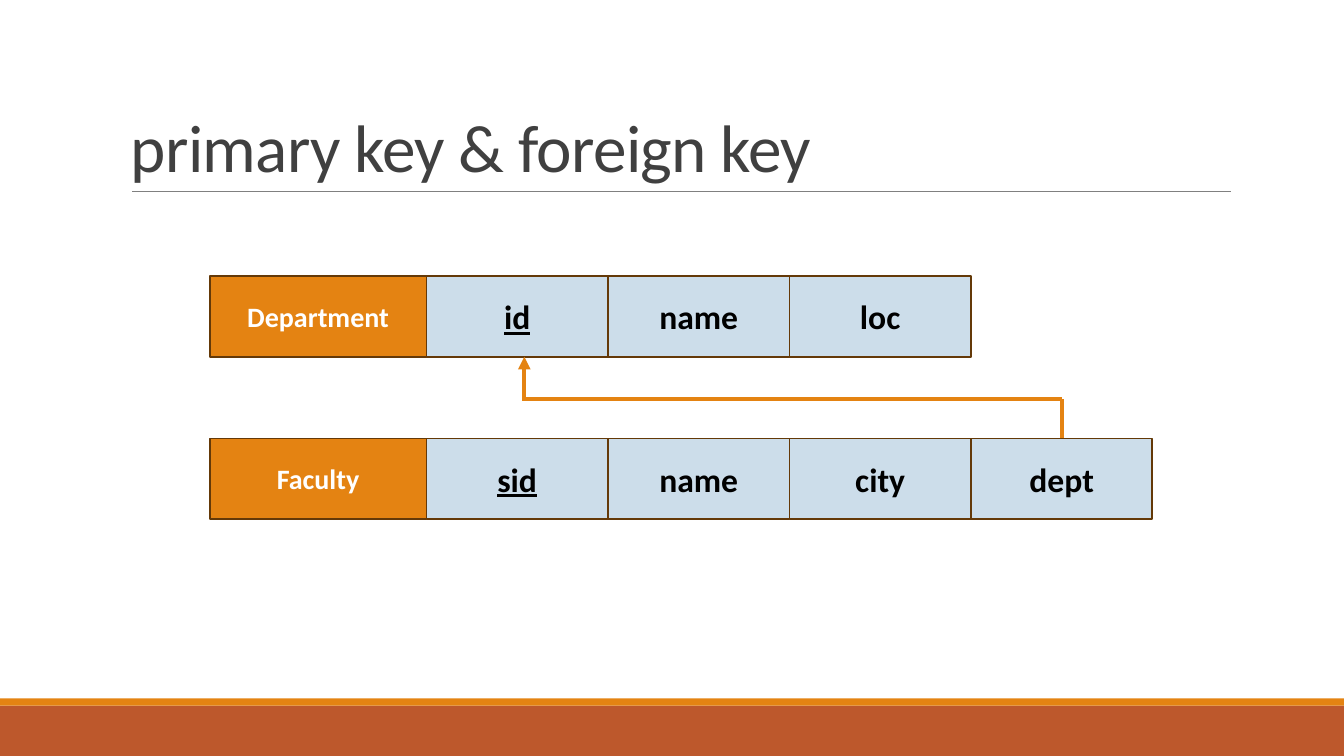
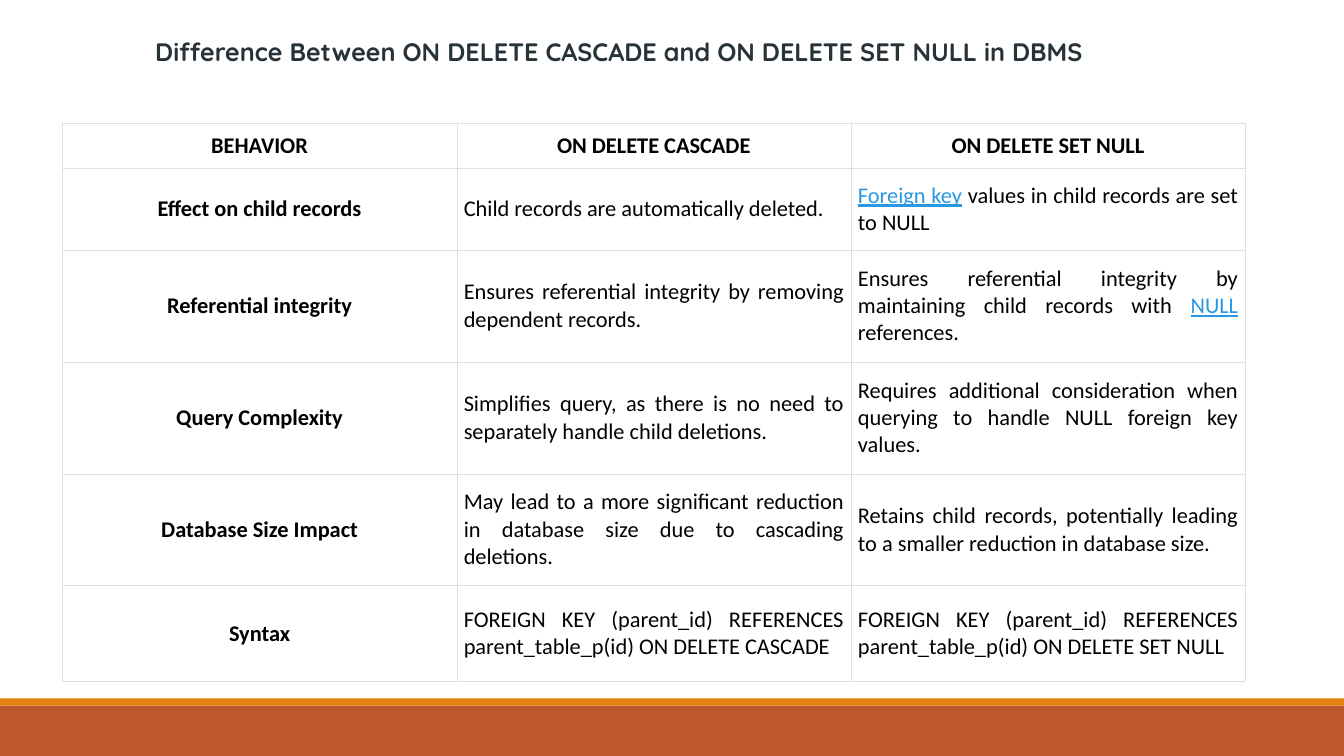
import dataclasses

import lxml.etree
import pptx
import pptx.dml.color
import pptx.enum.shapes
import pptx.enum.text
import pptx.oxml
import pptx.oxml.ns
import pptx.shapes.autoshape
import pptx.shapes.connector
import pptx.slide
import pptx.table
import pptx.text.text
import pptx.util

Inches = pptx.util.Inches
Pt = pptx.util.Pt
ALIGN = pptx.enum.text.PP_ALIGN
MIDDLE = pptx.enum.text.MSO_ANCHOR.MIDDLE
BOTTOM = pptx.enum.text.MSO_ANCHOR.BOTTOM
RECTANGLE = pptx.enum.shapes.MSO_SHAPE.RECTANGLE
STRAIGHT = pptx.enum.shapes.MSO_CONNECTOR.STRAIGHT

COLORS = {
    "band": "BD582C",
    "accent": "E48312",
    "rule": "808080",
    "title": "404040",
    "heading": "273239",
    "outline": "643908",
    "field": "CCDDEA",
    "link": "2998E3",
    "grid": "DFDFDF",
    "black": "000000",
    "white": "FFFFFF",
}
FONT = "Calibri"
SLIDE_W, SLIDE_H = 13.33, 7.5
BAND_H, STRIP_H = 0.5, 0.07

# Schema grid: one name column, then equal field columns
SCHEMA_LEFT, SCHEMA_TOP = 2.08, 2.74
NAME_W, FIELD_W, BOX_H, ROW_PITCH = 2.15, 1.8, 0.8, 1.61

# Comparison table
TABLE_LEFT, TABLE_TOP, COLUMN_W = 0.62, 1.22, 3.91
ROW_HEIGHTS = (0.45, 0.81, 1.11, 1.11, 1.11, 0.95)


@dataclasses.dataclass(frozen=True)
class Style:
    size: float
    color: str = "black"
    bold: bool = False
    underline: bool = False
    font: str = FONT
    spacing: float = 0


@dataclasses.dataclass(frozen=True)
class Relation:
    name: str
    key: str
    fields: tuple[str, ...]


@dataclasses.dataclass(frozen=True)
class Link:
    text: str


@dataclasses.dataclass(frozen=True)
class Behavior:
    name: str
    cascade: tuple[str | Link, ...]
    set_null: tuple[str | Link, ...]


TITLE = Style(48, "title", spacing=-0.5)
HEADING = Style(18, "heading", bold=True, font="Quicksand")
RELATION_NAME = Style(20, "white", bold=True)
FIELD = Style(24, bold=True)
KEY = dataclasses.replace(FIELD, underline=True)
CELL = Style(16)
CELL_BOLD = dataclasses.replace(CELL, bold=True)
CELL_LINK = dataclasses.replace(CELL, color="link", underline=True)

RELATIONS = (
    Relation("Department", "id", ("name", "loc")),
    Relation("Faculty", "sid", ("name", "city", "dept")),
)
HEADERS = ("BEHAVIOR", "ON DELETE CASCADE", "ON DELETE SET NULL")
BEHAVIORS = (
    Behavior(
        "Effect on child records",
        ("Child records are automatically deleted.",),
        (Link("Foreign key"), " values in child records are set to NULL"),
    ),
    Behavior(
        "Referential integrity",
        ("Ensures referential integrity by removing dependent records.",),
        ("Ensures referential integrity by maintaining child records with ",
         Link("NULL "), "references."),
    ),
    Behavior(
        "Query Complexity",
        ("Simplifies query, as there is no need to separately handle child deletions.",),
        ("Requires additional consideration when querying to handle NULL foreign key values.",),
    ),
    Behavior(
        "Database Size Impact",
        ("May lead to a more significant reduction in database size due to cascading deletions.",),
        ("Retains child records, potentially leading to a smaller reduction in database size.",),
    ),
    Behavior(
        "Syntax",
        ("FOREIGN KEY (parent_id) REFERENCES parent_table_p(id) ON DELETE CASCADE",),
        ("FOREIGN KEY (parent_id) REFERENCES parent_table_p(id) ON DELETE SET NULL",),
    ),
)


def rgb(name: str) -> pptx.dml.color.RGBColor:
    return pptx.dml.color.RGBColor.from_string(COLORS[name])


def add_run(p: pptx.text.text._Paragraph, text: str, style: Style) -> None:
    r = p.add_run()
    r.text = text
    r.font.name = style.font
    r.font.size = Pt(style.size)
    r.font.bold = style.bold
    r.font.underline = style.underline
    r.font.color.rgb = rgb(style.color)
    if style.spacing:
        r._r.get_or_add_rPr().set("spc", str(round(style.spacing * 100)))


def add_box(s: pptx.slide.Slide, left: float, top: float, width: float, height: float,
            fill: str, outline: str | None = None) -> pptx.shapes.autoshape.Shape:
    sp = s.shapes.add_shape(RECTANGLE, Inches(left), Inches(top), Inches(width), Inches(height))
    sp.shadow.inherit = False
    sp.fill.solid()
    sp.fill.fore_color.rgb = rgb(fill)
    if outline:
        sp.line.color.rgb = rgb(outline)
        sp.line.width = Pt(1.25)
    else:
        sp.line.fill.background()
    return sp


def add_label(s: pptx.slide.Slide, left: float, width: float, top: float,
              text: str, fill: str, style: Style) -> pptx.shapes.autoshape.Shape:
    sp = add_box(s, left, top, width, BOX_H, fill, "outline")
    sp.text_frame.vertical_anchor = MIDDLE
    p = sp.text_frame.paragraphs[0]
    p.alignment = ALIGN.CENTER
    add_run(p, text, style)
    return sp


def add_line(s: pptx.slide.Slide, start: tuple[float, float], end: tuple[float, float],
             color: str, width: float, arrow: bool = False) -> pptx.shapes.connector.Connector:
    points = [Inches(v) for v in (*start, *end)]
    line = s.shapes.add_connector(STRAIGHT, *points)
    line.line.color.rgb = rgb(color)
    line.line.width = Pt(width)
    if arrow:
        tail = lxml.etree.SubElement(line.line._get_or_add_ln(), pptx.oxml.ns.qn("a:tailEnd"))
        tail.set("type", "triangle")
    lxml.etree.SubElement(line._element.spPr, pptx.oxml.ns.qn("a:effectLst"))
    return line


def add_text(s: pptx.slide.Slide, left: float, top: float, width: float, height: float,
             text: str, style: Style) -> pptx.text.text.TextFrame:
    sp = s.shapes.add_textbox(Inches(left), Inches(top), Inches(width), Inches(height))
    tf = sp.text_frame
    tf.word_wrap = True
    add_run(tf.paragraphs[0], text, style)
    return tf


def add_slide(prs: pptx.presentation.Presentation) -> pptx.slide.Slide:
    """Blank slide with the shared bottom bands."""
    s = prs.slides.add_slide(prs.slide_layouts[6])
    band_top = SLIDE_H - BAND_H
    add_box(s, 0, band_top, SLIDE_W, BAND_H, "band")
    add_box(s, 0, band_top - STRIP_H, SLIDE_W, STRIP_H, "accent")
    return s


def add_relation(s: pptx.slide.Slide, row: int,
                 relation: Relation) -> list[pptx.shapes.autoshape.Shape]:
    """Draw one schema row and return its field boxes, the key first."""
    top = SCHEMA_TOP + row * ROW_PITCH
    add_label(s, SCHEMA_LEFT, NAME_W, top, relation.name, "accent", RELATION_NAME)
    boxes = []
    for column, field in enumerate((relation.key, *relation.fields)):
        left = SCHEMA_LEFT + NAME_W + column * FIELD_W
        style = FIELD if column else KEY
        boxes.append(add_label(s, left, FIELD_W, top, field, "field", style))
    return boxes


def build_keys(prs: pptx.presentation.Presentation) -> None:
    s = add_slide(prs)

    # Title and rule
    add_line(s, (1.31, 1.9), (12.21, 1.9), "rule", 0.5)
    tf = add_text(s, 1.2, 0.31, 11, 1.59, "primary key & foreign key", TITLE)
    tf.vertical_anchor = BOTTOM
    tf.paragraphs[0].line_spacing = 0.85

    # Relations
    _, faculty = [add_relation(s, row, relation) for row, relation in enumerate(RELATIONS)]

    # Foreign key path from dept up to id
    dept_x = SCHEMA_LEFT + NAME_W + 3.5 * FIELD_W
    id_x = 5.2
    id_bottom = SCHEMA_TOP + BOX_H
    dept_top = SCHEMA_TOP + ROW_PITCH
    turn_y = 3.96
    riser = add_line(s, (dept_x, dept_top), (dept_x, turn_y), "accent", 3)
    riser.begin_connect(faculty[-1], 0)
    add_line(s, (dept_x, turn_y), (id_x - 0.02, turn_y), "accent", 3)
    add_line(s, (id_x, turn_y), (id_x, id_bottom), "accent", 3, arrow=True)


def format_cell(cell: pptx.table._Cell, margin_y: float) -> None:
    tc_pr = cell._tc.get_or_add_tcPr()
    for side in ("L", "R", "T", "B"):
        tc_pr.append(pptx.oxml.parse_xml(
            f'<a:ln{side} {pptx.oxml.ns.nsdecls("a")} w="{Pt(0.18)}"><a:solidFill>'
            f'<a:srgbClr val="{COLORS["grid"]}"/></a:solidFill></a:ln{side}>'))
    cell.fill.solid()
    cell.fill.fore_color.rgb = rgb("white")
    cell.vertical_anchor = MIDDLE
    cell.margin_left = cell.margin_right = Inches(0.07)
    cell.margin_top = cell.margin_bottom = Inches(margin_y)


def build_comparison(prs: pptx.presentation.Presentation) -> None:
    s = add_slide(prs)

    # Table of behaviors
    rows = [tuple((header,) for header in HEADERS)]
    rows += [((b.name,), b.cascade, b.set_null) for b in BEHAVIORS]
    table = s.shapes.add_table(
        len(rows), len(HEADERS), Inches(TABLE_LEFT), Inches(TABLE_TOP),
        Inches(COLUMN_W * len(HEADERS)), Inches(sum(ROW_HEIGHTS))).table
    table.first_row = table.horz_banding = False
    for column in table.columns:
        column.width = Inches(COLUMN_W)
    for i, (height, row) in enumerate(zip(ROW_HEIGHTS, rows)):
        table.rows[i].height = Inches(height)
        for j, parts in enumerate(row):
            cell = table.cell(i, j)
            format_cell(cell, 0.09 if i else 0.07)
            is_header = i == 0 or j == 0
            p = cell.text_frame.paragraphs[0]
            p.alignment = ALIGN.CENTER if is_header else ALIGN.JUSTIFY
            for part in parts:
                if isinstance(part, Link):
                    add_run(p, part.text, CELL_LINK)
                else:
                    add_run(p, part, CELL_BOLD if is_header else CELL)

    # Heading
    tf = add_text(s, 1.54, 0.36, 10.5, 0.3,
                  "Difference Between ON DELETE CASCADE and ON DELETE SET NULL in DBMS", HEADING)
    tf.vertical_anchor = MIDDLE
    tf.margin_left = tf.margin_right = tf.margin_top = tf.margin_bottom = 0


def main() -> None:
    prs = pptx.Presentation()
    prs.slide_width, prs.slide_height = Inches(SLIDE_W), Inches(SLIDE_H)
    build_keys(prs)
    build_comparison(prs)
    prs.save("out.pptx")


if __name__ == "__main__":
    main()
